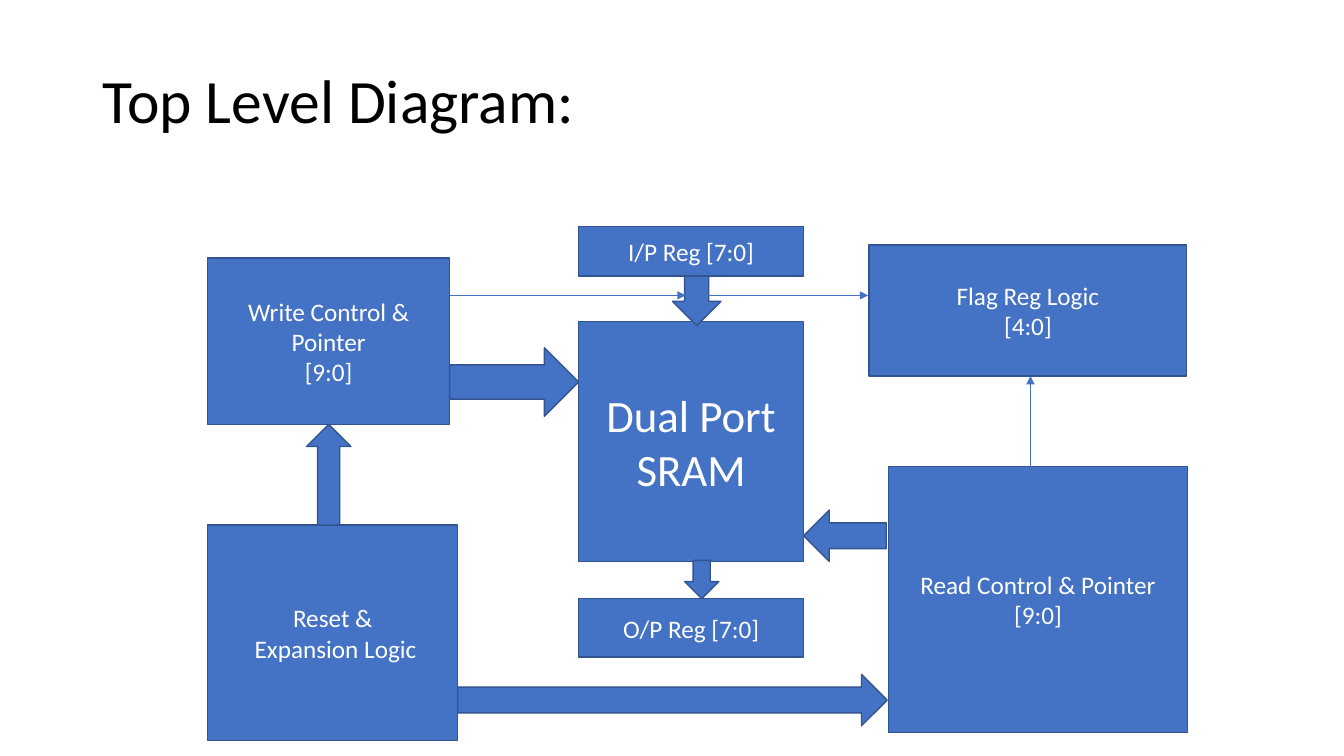
from dataclasses import dataclass

from lxml.etree import SubElement
from pptx import Presentation
from pptx.dml.color import RGBColor as RGB
from pptx.enum.shapes import MSO_CONNECTOR as Link, MSO_SHAPE as Kind
from pptx.enum.text import MSO_ANCHOR as Anchor, PP_ALIGN as Align
from pptx.oxml.ns import qn
from pptx.util import Pt

PX = 9144  # EMU per px, 100 px to the inch
SIZE = (1333, 750)


@dataclass
class Theme:
    font: str = "Calibri"
    fill: RGB = RGB(0x44, 0x72, 0xC4)
    edge: RGB = RGB(0x32, 0x54, 0x91)
    dark: RGB = RGB(0, 0, 0)
    light: RGB = RGB(255, 255, 255)
    title: int = 44
    core: int = 32
    body: int = 18
    rim: float = 1
    wire: float = 0.5


theme = Theme()

# Content: text and left, top, width, height in px
TITLE = ("Top Level Diagram:", (92, 30, 1150, 145))
MID, WIDE = 574, 223  # shared column of memory and registers
BOXES = [
    ("Dual Port SRAM", (MID, 319, WIDE, 238), theme.core),
    ("I/P Reg [7:0]", (MID, 225, WIDE, 49), theme.body),
    ("O/P Reg [7:0]", (MID, 594, WIDE, 58), theme.body),
    ("Flag Reg Logic\n[4:0]", (862, 243, 315, 130), theme.body),
    ("Write Control & Pointer\n[9:0]", (206, 256, 240, 165), theme.body),
    ("Read Control & Pointer\n[9:0]", (881, 463, 297, 264), theme.body),
    ("Reset &\n Expansion Logic", (206, 521, 248, 214), theme.body),
]
ARROWS = [
    (Kind.DOWN_ARROW, (667, 274, 48, 49)),
    (Kind.RIGHT_ARROW, (446, 345, 128, 68)),
    (Kind.UP_ARROW, (304, 421, 44, 100)),
    (Kind.DOWN_ARROW, (679, 556, 34, 38)),
    (Kind.LEFT_ARROW, (797, 506, 82, 51)),
    (Kind.RIGHT_ARROW, (454, 669, 426, 51)),
]
# Wires: x and y of the start, then of the end
WIRES = [(702, 293, 861, 293), (446, 293, 680, 293), (1022, 492, 1022, 373)]


def emu(nums):
    return [n * PX for n in nums]


def write(shape, text, size, color, align):
    frame = shape.text_frame
    frame.word_wrap = True
    frame.vertical_anchor = Anchor.MIDDLE
    frame.text = text
    for para in frame.paragraphs:
        para.alignment = align
        for run in para.runs:
            font = run.font
            font.name, font.size = theme.font, Pt(size)
            font.color.rgb = color


def block(slide, kind, area):
    shape = slide.shapes.add_shape(kind, *emu(area))
    shape.shadow.inherit = False
    shape.fill.solid()
    shape.fill.fore_color.rgb = theme.fill
    shape.line.color.rgb = theme.edge
    shape.line.width = Pt(theme.rim)
    return shape


def wire(slide, ends):
    link = slide.shapes.add_connector(Link.STRAIGHT, *emu(ends))
    link.line.color.rgb = theme.fill
    link.line.width = Pt(theme.wire)
    props = link._element.spPr
    SubElement(props.find(qn("a:ln")), qn("a:tailEnd"), type="triangle")
    SubElement(props, qn("a:effectLst"))


def main():
    deck = Presentation()
    deck.slide_width, deck.slide_height = emu(SIZE)
    slide = deck.slides.add_slide(deck.slide_layouts[6])

    # Title
    text, area = TITLE
    head = slide.shapes.add_textbox(*emu(area))
    write(head, text, theme.title, theme.dark, Align.LEFT)
    head.text_frame.paragraphs[0].line_spacing = 0.9

    # Labelled boxes
    for text, area, size in BOXES:
        box = block(slide, Kind.RECTANGLE, area)
        write(box, text, size, theme.light, Align.CENTER)

    # Block arrows and thin wires
    for kind, area in ARROWS:
        block(slide, kind, area)
    for ends in WIRES:
        wire(slide, ends)

    deck.save("out.pptx")


if __name__ == "__main__":
    main()
